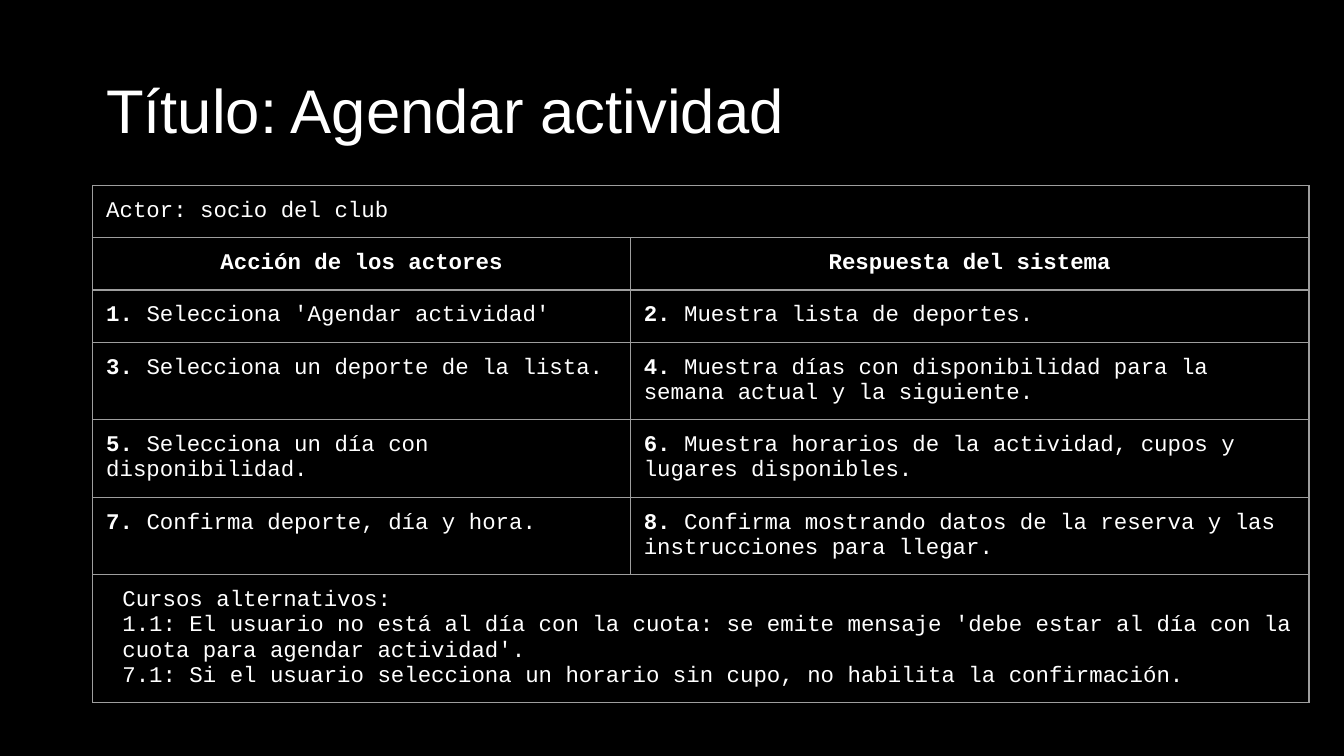
"""Build the use-case slide for scheduling an activity."""
import pptx
import pptx.dml.color
import pptx.enum.text
import pptx.oxml
import pptx.oxml.ns
import pptx.util

Inches = pptx.util.Inches
Pt = pptx.util.Pt
PP_ALIGN = pptx.enum.text.PP_ALIGN

BLACK = pptx.dml.color.RGBColor(0x00, 0x00, 0x00)
WHITE = pptx.dml.color.RGBColor(0xFF, 0xFF, 0xFF)
GRAY = pptx.dml.color.RGBColor(0x9E, 0x9E, 0x9E)

SLIDE_WIDTH = 10
SLIDE_HEIGHT = SLIDE_WIDTH * 9 / 16
COLUMN_WIDTHS = [4, 5.05]
ROW_HEIGHTS = [0.36] * 3 + [0.55] * 4
ACTOR = "Actor: socio del club"
HEADINGS = ["Acción de los actores", "Respuesta del sistema"]
STEPS = [
    "Selecciona 'Agendar actividad'",
    "Muestra lista de deportes.",
    "Selecciona un deporte de la lista.",
    "Muestra días con disponibilidad para la semana actual y la siguiente.",
    "Selecciona un día con disponibilidad.",
    "Muestra horarios de la actividad, cupos y lugares disponibles.",
    "Confirma deporte, día y hora.",
    "Confirma mostrando datos de la reserva y las instrucciones para llegar.",
]
ALTERNATIVES = [
    "Cursos alternativos:",
    "1.1: El usuario no está al día con la cuota: se emite mensaje "
    "'debe estar al día con la cuota para agendar actividad'.",
    "7.1: Si el usuario selecciona un horario sin cupo, no habilita la confirmación.",
]


def style_run(run, font_name, size, bold=False):
    run.font.name = font_name
    run.font.size = Pt(size)
    run.font.bold = bold
    run.font.color.rgb = WHITE


def add_title(slide, wording):
    title = slide.shapes.title
    title.left, title.top = Inches(0.69), Inches(0.3)
    title.width, title.height = Inches(8.62), Inches(1.09)
    frame = title.text_frame
    frame.text = wording
    frame.word_wrap = True
    frame.auto_size = pptx.enum.text.MSO_AUTO_SIZE.NONE
    frame.vertical_anchor = pptx.enum.text.MSO_ANCHOR.MIDDLE
    heading = frame.paragraphs[0]
    heading.alignment = PP_ALIGN.LEFT
    heading.line_spacing = 0.9
    style_run(heading.runs[0], "Arial", 33)


def style_cell(cell):
    cell.margin_left = cell.margin_right = Inches(0.1)
    cell.margin_top = cell.margin_bottom = Inches(0.1)
    properties = cell._tc.get_or_add_tcPr()
    for side in ("lnL", "lnR", "lnT", "lnB"):
        properties.append(pptx.oxml.parse_xml(
            f'<a:{side} {pptx.oxml.ns.nsdecls("a")} w="{Pt(0.75)}">'
            f'<a:solidFill><a:srgbClr val="{GRAY}"/></a:solidFill></a:{side}>'))
    cell.fill.background()


def write_cell(cell, wording, bold=False, alignment=PP_ALIGN.LEFT, indent=0):
    cell.text_frame.text = wording
    for paragraph in cell.text_frame.paragraphs:
        paragraph.alignment = alignment
        if indent:
            properties = paragraph._p.get_or_add_pPr()
            properties.set("marL", str(Inches(indent)))
            properties.set("indent", "0")
        for run in paragraph.runs:
            style_run(run, "Courier New", 12, bold)


def write_step(cell, number, wording):
    write_cell(cell, f"{number}. ", bold=True)
    action = cell.text_frame.paragraphs[0].add_run()
    action.text = wording
    style_run(action, "Courier New", 12)


def add_use_case_table(slide):
    use_case = slide.shapes.add_table(
        len(ROW_HEIGHTS), len(COLUMN_WIDTHS), Inches(0.69), Inches(1.38),
        Inches(sum(COLUMN_WIDTHS)), Inches(sum(ROW_HEIGHTS))).table
    use_case.first_row = use_case.horz_banding = False
    for column, width in zip(use_case.columns, COLUMN_WIDTHS):
        column.width = Inches(width)
    for row, height in zip(use_case.rows, ROW_HEIGHTS):
        row.height = Inches(height)
    for cell in use_case.iter_cells():
        style_cell(cell)

    last = len(ROW_HEIGHTS) - 1
    for row in (0, last):
        use_case.cell(row, 0).merge(use_case.cell(row, 1))
    write_cell(use_case.cell(0, 0), ACTOR)
    for column, heading in enumerate(HEADINGS):
        write_cell(use_case.cell(1, column), heading, True, PP_ALIGN.CENTER)
    for index, step in enumerate(STEPS):
        row, column = divmod(index, 2)
        write_step(use_case.cell(row + 2, column), index + 1, step)
    write_cell(use_case.cell(last, 0), "\n".join(ALTERNATIVES), indent=0.12)


def main():
    presentation = pptx.Presentation()
    presentation.slide_width = Inches(SLIDE_WIDTH)
    presentation.slide_height = Inches(SLIDE_HEIGHT)
    slide = presentation.slides.add_slide(presentation.slide_layouts[5])
    slide.background.fill.solid()
    slide.background.fill.fore_color.rgb = BLACK
    add_title(slide, "Título: Agendar actividad")
    add_use_case_table(slide)
    presentation.save("out.pptx")


if __name__ == "__main__":
    main()
